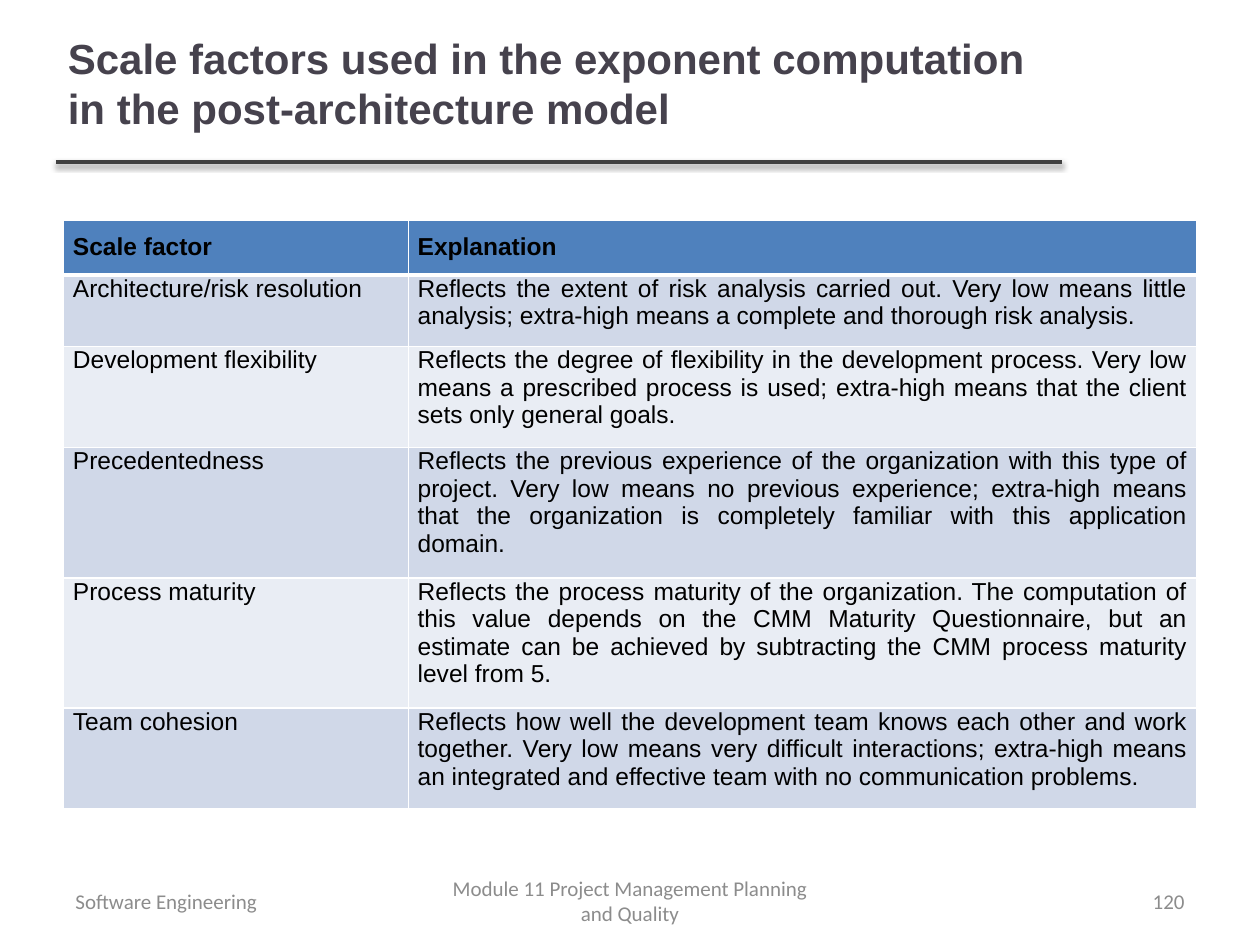
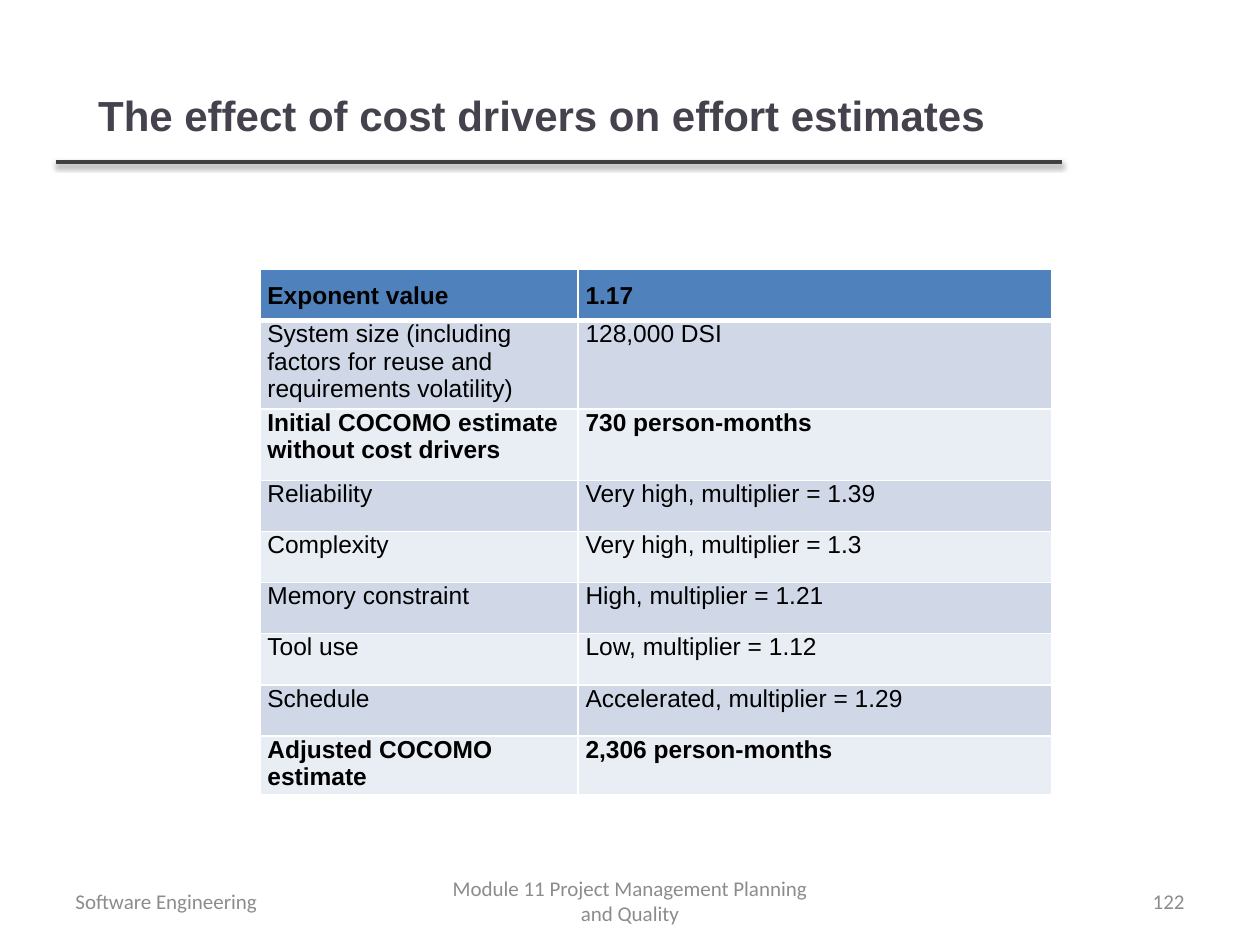
"""Build two slides on cost estimation, each with a title, a ruled band, a table and a footer."""
from lxml import etree
from pptx import Presentation
from pptx import util as u
from pptx.dml.color import RGBColor
from pptx.enum import shapes, text

Pt = u.Pt
NS = "http://schemas.openxmlformats.org/drawingml/2006/main"
INK = {"title": "46424D", "rule": "404040", "foot": "8C8C8C", "text": "000000",
       "head": "4F81BD", "odd": "D0D8E8", "even": "E9EDF4", "edge": "FFFFFF"}
LEFT, MID = text.PP_ALIGN.LEFT, text.PP_ALIGN.CENTER
RIGHT, JUST = text.PP_ALIGN.RIGHT, text.PP_ALIGN.JUSTIFY
SHADE = f"""<a:effectLst xmlns:a="{NS}">
  <a:outerShdw blurRad="39400" dist="20300" dir="5400000" rotWithShape="0">
    <a:srgbClr val="000000"><a:alpha val="38000"/></a:srgbClr>
  </a:outerShdw>
</a:effectLst>"""


def style(para, face, size, ink, bold=False, align=LEFT):
    para.alignment = align
    font = para.font
    font.name, font.size, font.bold = face, Pt(size), bold
    font.color.rgb = RGBColor.from_string(INK[ink])


def label(slide, box, words, *look):
    frame = slide.shapes.add_textbox(*map(Pt, box)).text_frame
    frame.word_wrap = True
    frame.vertical_anchor = text.MSO_ANCHOR.MIDDLE
    frame.text = words
    style(frame.paragraphs[0], *look)


pages = [
    dict(
        num="120", box=(31.7, 2.2, 574.6, 90), at=(36.3, 126), cols=(197, 450.7),
        title="Scale factors used in the exponent computation in the post-architecture model",
        side=5.4, foot=range(6), after=0, first=JUST, bold=[0],
        rows=[
            ("Scale factor", "Explanation"),
            ("Architecture/risk resolution",
             "Reflects the extent of risk analysis carried out. Very low means little analysis; "
             "extra-high means a complete and thorough risk analysis."),
            ("Development flexibility",
             "Reflects the degree of flexibility in the development process. Very low means a "
             "prescribed process is used; extra-high means that the client sets only general goals."),
            ("Precedentedness",
             "Reflects the previous experience of the organization with this type of project. "
             "Very low means no previous experience; extra-high means that the organization is "
             "completely familiar with this application domain."),
            ("Process maturity",
             "Reflects the process maturity of the organization. The computation of this value "
             "depends on the CMM Maturity Questionnaire, but an estimate can be achieved by "
             "subtracting the CMM process maturity level from 5."),
            ("Team cohesion",
             "Reflects how well the development team knows each other and work together. Very "
             "low means very difficult interactions; extra-high means an integrated and "
             "effective team with no communication problems."),
        ]),
    dict(
        num="122", box=(49, 24.5, 552.2, 82), at=(148.5, 154), cols=(181.8, 270.7),
        title="The effect of cost drivers on effort estimates",
        side=4.3, foot=[2], after=3, first=LEFT, bold=[0, 2, 8],
        rows=[
            ("Exponent value", "1.17"),
            ("System size (including factors for reuse and requirements volatility)",
             "128,000 DSI"),
            ("Initial COCOMO estimate without cost drivers", "730 person-months"),
            ("Reliability", "Very high, multiplier = 1.39"),
            ("Complexity", "Very high, multiplier = 1.3"),
            ("Memory constraint", "High, multiplier = 1.21"),
            ("Tool use", "Low, multiplier = 1.12"),
            ("Schedule", "Accelerated, multiplier = 1.29"),
            ("Adjusted COCOMO estimate", "2,306 person-months"),
        ]),
]

deck = Presentation()
deck.slide_width, deck.slide_height = Pt(720), Pt(540)

for page in pages:
    slide = deck.slides.add_slide(deck.slide_layouts[6])

    rule = slide.shapes.add_connector(
        shapes.MSO_CONNECTOR.STRAIGHT, Pt(32), Pt(92.7), Pt(607), Pt(92.7))
    rule.line.color.rgb = RGBColor.from_string(INK["rule"])
    rule.line.width = Pt(2)
    rule._element.spPr.append(etree.fromstring(SHADE))

    label(slide, page["box"], page["title"], "Arial", 24, "title", True)

    rows, cols = page["rows"], page["cols"]
    high = 29.2
    grid = slide.shapes.add_table(
        len(rows), len(cols), *map(Pt, page["at"]), Pt(sum(cols)), Pt(high * len(rows))).table
    for col, wide in zip(grid.columns, cols):
        col.width = Pt(wide)
    for r, row in enumerate(rows):
        grid.rows[r].height = Pt(high)
        band = "head" if r == 0 else "odd" if r % 2 else "even"
        for c, words in enumerate(row):
            cell = grid.cell(r, c)
            cell.text = words
            cell.margin_left = cell.margin_right = Pt(page["side"])
            cell.margin_top = Pt(0 if r else 7.2)
            cell.margin_bottom = Pt(7.2 if r in page["foot"] else 0)
            para = cell.text_frame.paragraphs[0]
            style(para, "Arial", 14, "text", r in page["bold"], JUST if c else page["first"])
            para.space_after = Pt(page["after"])
            props = cell._tc.get_or_add_tcPr()
            for side in "LRTB":
                thick = (r, side) in [(0, "B"), (1, "T")]
                edge = etree.SubElement(props, f"{{{NS}}}ln{side}", w=str(Pt(3 if thick else 1)))
                fill = etree.SubElement(edge, f"{{{NS}}}solidFill")
                etree.SubElement(fill, f"{{{NS}}}srgbClr", val=INK["edge"])
            cell.fill.solid()
            cell.fill.fore_color.rgb = RGBColor.from_string(INK[band])

    for x, wide, words, align in [
        (36, 168, "Software Engineering", LEFT),
        (246, 228, "Module 11 Project Management Planning and Quality", MID),
        (516, 168, page["num"], RIGHT),
    ]:
        label(slide, (x, 500.5, wide, 28.75), words, "Calibri", 12, "foot", False, align)

deck.save("out.pptx")
